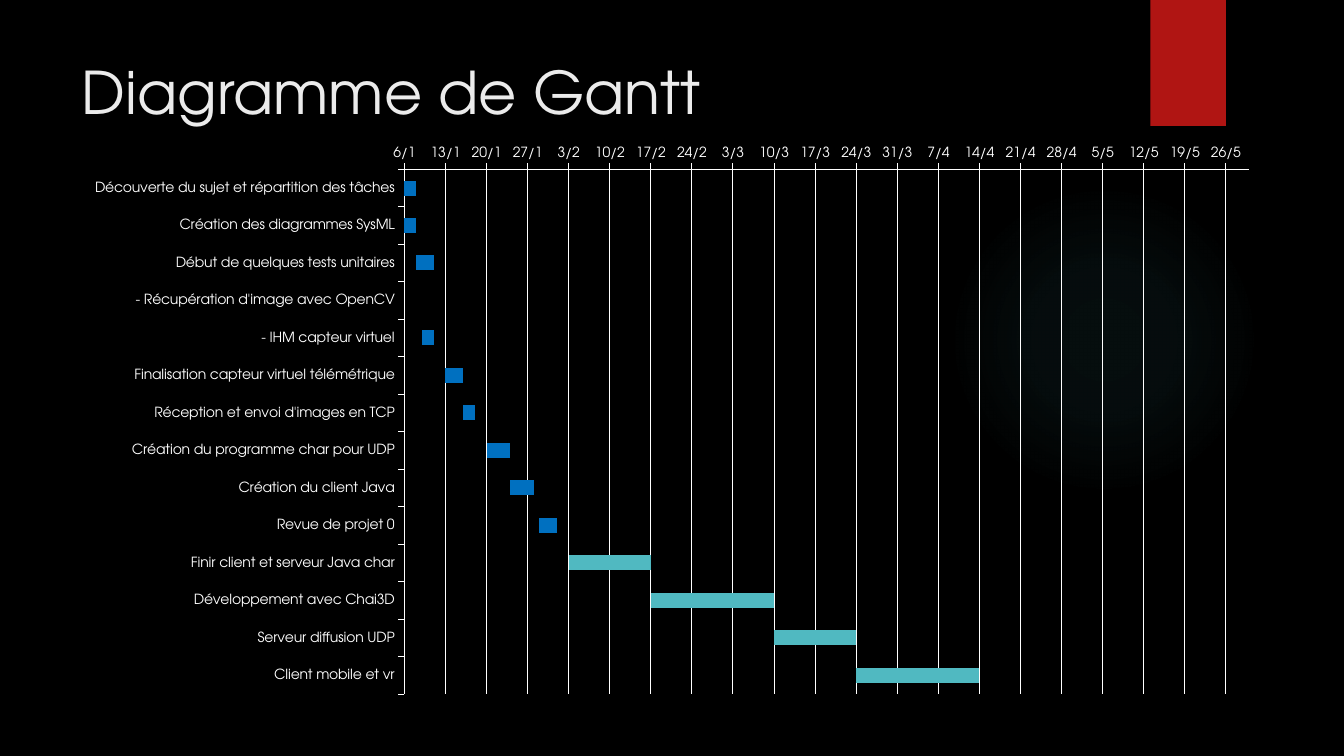
import lxml.etree
import pptx
import pptx.chart.data
import pptx.dml.color
import pptx.enum.chart
import pptx.enum.shapes
import pptx.enum.text
import pptx.oxml
import pptx.oxml.ns
import pptx.util

Inches = pptx.util.Inches
FONT = "TeX Gyre Adventor"
WHITE, RED, BLUE, TEAL = "FFFFFF", "B01513", "0070C0", "50B9C1"
FIRST_DAY, LAST_DAY = 45663, 45807

TASKS = [
    ("Découverte du sujet et répartition des tâches", 45663, 2, BLUE),
    ("Création des diagrammes SysML", 45663, 2, BLUE),
    ("Début de quelques tests unitaires", 45665, 3, BLUE),
    ("- Récupération d'image avec OpenCV", 0, 2, BLUE),
    ("- IHM capteur virtuel", 45666, 2, BLUE),
    ("Finalisation capteur virtuel télémétrique", 45670, 3, BLUE),
    ("Réception et envoi d'images en TCP", 45673, 2, BLUE),
    ("Création du programme char pour UDP", 45677, 4, BLUE),
    ("Création du client Java", 45681, 4, BLUE),
    ("Revue de projet 0", 45686, 3, BLUE),
    ("Finir client et serveur Java char", 45691, 14, TEAL),
    ("Développement avec Chai3D", 45705, 21, TEAL),
    ("Serveur diffusion UDP", 45726, 14, TEAL),
    ("Client mobile et vr", 45740, 21, TEAL),
]


def color(value):
    return pptx.dml.color.RGBColor.from_string(value)


def add_text(slide, text, left, top, width, height, size, fill):
    box = slide.shapes.add_textbox(Inches(left), Inches(top), Inches(width), Inches(height))
    box.text_frame.word_wrap = True
    box.text_frame.vertical_anchor = pptx.enum.text.MSO_ANCHOR.TOP
    span = box.text_frame.paragraphs[0].add_run()
    span.text = text
    span.font.name = FONT
    span.font.size = pptx.util.Pt(size)
    span.font.color.rgb = color(fill)
    return box


deck = pptx.Presentation()
deck.slide_width, deck.slide_height = Inches(13.33), Inches(7.5)
slide = deck.slides.add_slide(deck.slide_layouts[6])
slide.background.fill.solid()
slide.background.fill.fore_color.rgb = color("000000")

glow = slide.shapes.add_shape(
    pptx.enum.shapes.MSO_SHAPE.OVAL, Inches(9.41), Inches(1.83), Inches(3.08), Inches(3.08)
)
glow.shadow.inherit = False
glow.line.fill.background()
stops = "".join(
    f'<a:gs pos="{position * 1000}"><a:srgbClr val="{TEAL}"><a:alpha val="{alpha * 1000}"/></a:srgbClr></a:gs>'
    for position, alpha in [(0, 7), (36, 6), (69, 0)]
)
namespace = pptx.oxml.ns.nsdecls("a")
gradient = pptx.oxml.parse_xml(
    f'<a:gradFill {namespace} rotWithShape="1"><a:gsLst>{stops}</a:gsLst><a:path path="circle">'
    '<a:fillToRect l="50000" t="50000" r="50000" b="50000"/></a:path></a:gradFill>'
)
glow.element.spPr.find(pptx.oxml.ns.qn("a:prstGeom")).addnext(gradient)

ribbon = slide.shapes.add_shape(
    pptx.enum.shapes.MSO_SHAPE.RECTANGLE, Inches(11.41), Inches(0), Inches(0.75), Inches(1.25)
)
ribbon.shadow.inherit = False
ribbon.fill.solid()
ribbon.fill.fore_color.rgb = color(RED)
ribbon.line.fill.background()
effects = ribbon.element.spPr.find(pptx.oxml.ns.qn("a:effectLst"))
effects.append(pptx.oxml.parse_xml(
    f'<a:outerShdw {namespace} blurRad="{pptx.util.Pt(3)}" dist="{pptx.util.Pt(2)}" dir="5400000" rotWithShape="0">'
    '<a:srgbClr val="000000"><a:alpha val="45000"/></a:srgbClr></a:outerShdw>'
))

add_text(slide, "Diagramme de Gantt", left=0.71, top=0.5, width=10.29, height=1.53, size=42, fill="EBEBEB")

names, starts, durations, fills = zip(*TASKS)
data = pptx.chart.data.CategoryChartData()
data.categories = names
data.add_series("Series 1", starts)
data.add_series("Series 2", durations)
chart = slide.shapes.add_chart(
    pptx.enum.chart.XL_CHART_TYPE.BAR_STACKED,
    Inches(0.71), Inches(1.34), Inches(11.92), Inches(5.66), data,
).chart
chart.has_legend = False
chart.has_title = False
chart.font.name = FONT
chart.font.size = pptx.util.Pt(10)
chart.font.color.rgb = color(WHITE)

plot = chart.plots[0]
plot.gap_width = 150
plot.overlap = 100
plot.vary_by_categories = False
offset, bars = plot.series
offset.format.fill.background()
offset.format.line.fill.background()
bars.format.fill.solid()
bars.format.fill.fore_color.rgb = color(BLUE)
for index, fill in enumerate(fills):
    if fill != BLUE:
        point_fill = bars.points[index].format.fill
        point_fill.solid()
        point_fill.fore_color.rgb = color(fill)

tasks_axis, dates_axis = chart.category_axis, chart.value_axis
tasks_axis.reverse_order = True
tasks_axis.has_major_gridlines = False
tasks_axis.tick_label_position = pptx.enum.chart.XL_TICK_LABEL_POSITION.LOW
dates_axis.minimum_scale = FIRST_DAY
dates_axis.maximum_scale = LAST_DAY
dates_axis.major_unit = 7
dates_axis.has_major_gridlines = True
dates_axis.tick_labels.number_format = "d/m;@"
dates_axis.tick_labels.number_format_is_linked = False
for axis in (tasks_axis, dates_axis):
    axis.major_tick_mark = pptx.enum.chart.XL_TICK_MARK.OUTSIDE
    axis.minor_tick_mark = pptx.enum.chart.XL_TICK_MARK.NONE
for item in (tasks_axis, dates_axis, dates_axis.major_gridlines):
    item.format.line.color.rgb = color(WHITE)
    item.format.line.width = pptx.util.Pt(0.75)

plot_area = chart.element.find(".//" + pptx.oxml.ns.qn("c:plotArea"))
for old_layout in plot_area.findall(pptx.oxml.ns.qn("c:layout")):
    plot_area.remove(old_layout)
layout = pptx.oxml.parse_xml(f'<c:layout {pptx.oxml.ns.nsdecls("c")}><c:manualLayout/></c:layout>')
settings = [
    ("layoutTarget", "inner"), ("xMode", "edge"), ("yMode", "edge"),
    ("x", "0.277"), ("y", "0.06"), ("w", "0.703"), ("h", "0.92"),
]
for name, value in settings:
    lxml.etree.SubElement(layout[0], pptx.oxml.ns.qn(f"c:{name}")).set("val", value)
plot_area.insert(0, layout)

deck.save("out.pptx")
